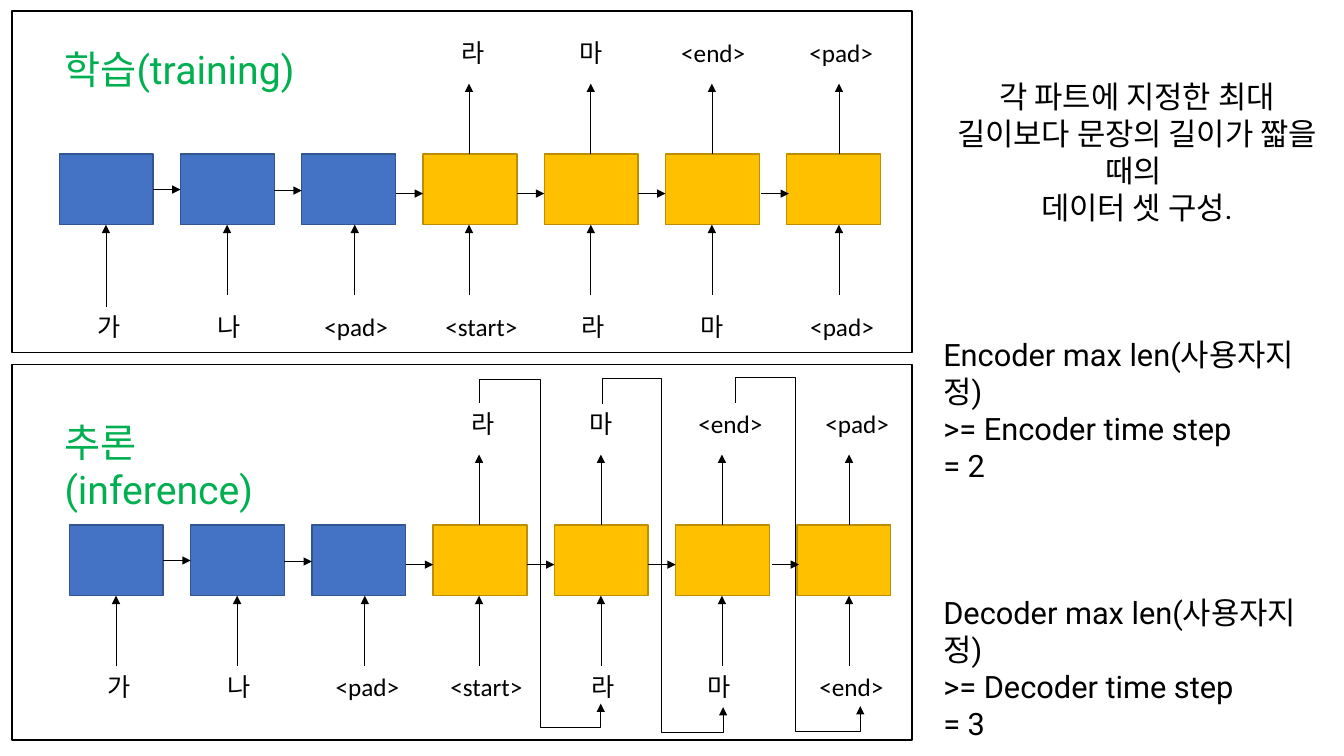
from pptx import Presentation
from pptx.dml.color import RGBColor
from pptx.enum.shapes import MSO_CONNECTOR, MSO_SHAPE
from pptx.enum.text import PP_ALIGN
from pptx.oxml.ns import qn
from pptx.util import Pt
from lxml import etree

LINE, BENT = MSO_CONNECTOR.STRAIGHT, MSO_CONNECTOR.ELBOW
RECT, CENTER = MSO_SHAPE.RECTANGLE, PP_ALIGN.CENTER
BLACK = RGBColor(0x00, 0x00, 0x00)
GREEN = RGBColor(0x00, 0xB0, 0x50)
BLUE, NAVY = RGBColor(0x44, 0x72, 0xC4), RGBColor(0x32, 0x54, 0x91)
GOLD, BROWN = RGBColor(0xFF, 0xC0, 0x00), RGBColor(0xBD, 0x8E, 0x00)

prs = Presentation()
prs.slide_width, prs.slide_height = Pt(960), Pt(540)
slide = prs.slides.add_slide(prs.slide_layouts[6])
shapes = slide.shapes


def arrow(kind, x1, y1, x2, y2):
    """Draw a thin black connector with a triangle at its end."""
    link = shapes.add_connector(kind, Pt(x1), Pt(y1), Pt(x2), Pt(y2))
    link.line.color.rgb = BLACK
    link.line.width = Pt(0.5)
    etree.SubElement(link.line._get_or_add_ln(), qn("a:tailEnd"), type="triangle")
    etree.SubElement(link._element.spPr, qn("a:effectLst"))
    return link


def write(text, x, y, w, h, size, font, color):
    """Add a wrapping text box with one style and return its frame."""
    frame = shapes.add_textbox(Pt(x), Pt(y), Pt(w), Pt(h)).text_frame
    frame.word_wrap = True
    frame.text = text
    for para in frame.paragraphs:
        for run in para.runs:
            run.font.size = Pt(size)
            run.font.name = font
            run.font.color.rgb = color
    return frame


# Each panel: title, its top, shift of the cells, frame top and height,
# start of the first input arrow, top of the inputs, inputs, outputs
PANELS = [
    ("학습(training)", 29, 0, 0, 8, 244, 219, 219,
     [("가", 62.6), ("나", 148.3), ("<pad>", 224.6), ("<start>", 311),
      ("라", 408.2), ("마", 493.2), ("<pad>", 571.7)],
     [("라", 322.6), ("마", 406.8), ("<end>", 479.5), ("<pad>", 571)]),
    ("추론(inference)", 295, 7.2, 265, 260.5, 268, 476, 476,
     [("가", 69.8), ("나", 155.5), ("<pad>", 232.6), ("<start>", 314.6),
      ("라", 415.4), ("마", 498.2), ("<end>", 578.2)],
     [("라", 329.8), ("마", 414), ("<end>", 491.8), ("<pad>", 582.5)]),
]
LEFT, TOP, STEP, WIDE, HIGH = 42.4, 110, 86.6, 67, 50.5
STEMS = [75.7, 162.2, 253.4, 335, 422, 508.5, 599.3]
FLOWS = [135.4, 136.1, 138.3, 138.3, 138.3, 138.3]

for title, head, dx, dy, edge, tall, first, base, inputs, outputs in PANELS:
    frame = shapes.add_shape(RECT, Pt(8.5), Pt(edge), Pt(643), Pt(tall))
    frame.shadow.inherit = False
    frame.fill.background()
    frame.line.color.rgb = BLACK
    frame.line.width = Pt(1)

    for i in range(7):
        cell = shapes.add_shape(RECT, Pt(LEFT + dx + i * STEP), Pt(TOP + dy),
                                Pt(WIDE), Pt(HIGH))
        cell.shadow.inherit = False
        cell.fill.solid()
        cell.fill.fore_color.rgb = BLUE if i < 3 else GOLD
        cell.line.color.rgb = NAVY if i < 3 else BROWN
        cell.line.width = Pt(1)

    for i, y in enumerate(FLOWS):
        x = LEFT + dx + i * STEP + WIDE + (1.5 if i == 5 else 0)
        arrow(LINE, x, y + dy, x + STEP - WIDE, y + dy)

    for i, x in enumerate(STEMS):
        low = first if i == 0 else 210.7 + dy
        arrow(LINE, x + dx, low, x + dx, TOP + HIGH + dy)
        if i > 2:
            arrow(LINE, x + dx, TOP + dy, x + dx, 59.7 + dy)

    for words, y in ((inputs, base), (outputs, 23 + dy)):
        for word, x in words:
            write(word, x, y, 72, 28, 18, "Calibri", BLACK)

    write(title, 39, head, 181.5, 41, 28, "Roboto", GREEN)

# Each output feeds the next decoder input
LOOPS = [
    (278.6, 352.1, 214.6, 86.4, (-8000, 49900, 108000)),
    (365, 353.5, 216.7, 86.4, (-8300, 48800, 108300)),
    (461.5, 351.4, 216.7, 89.3, (-8300, 48400, 108300)),
]
for x, y, w, h, bends in LOOPS:
    loop = arrow(BENT, x + w, y, x, y + h)
    props = loop._element.spPr
    props.find(qn("a:xfrm")).set("rot", str(270 * 60000))
    geom = props.find(qn("a:prstGeom"))
    geom.set("prst", "bentConnector5")
    guides = geom.find(qn("a:avLst"))
    for i, bend in enumerate(bends, 1):
        etree.SubElement(guides, qn("a:gd"), name=f"adj{i}", fmla=f"val {bend}")

NOTES = [
    "각 파트에 지정한 최대 길이보다 문장의 길이가 짧을 때의 ",
    "데이터 셋 구성.",
    "Encoder max len(사용자지정)",
    ">= Encoder time step",
    "= 2",
    "Decoder max len(사용자지정)",
    ">= Decoder time step",
    "= 3",
]
notes = write("\n".join(NOTES), 666.7, 51.8, 291, 407, 22, "Roboto", BLACK)
for i, para in enumerate(notes.paragraphs):
    if i < 2:
        para.alignment = CENTER
    if i in (2, 5):
        para.space_before = Pt(79)

prs.save("out.pptx")
